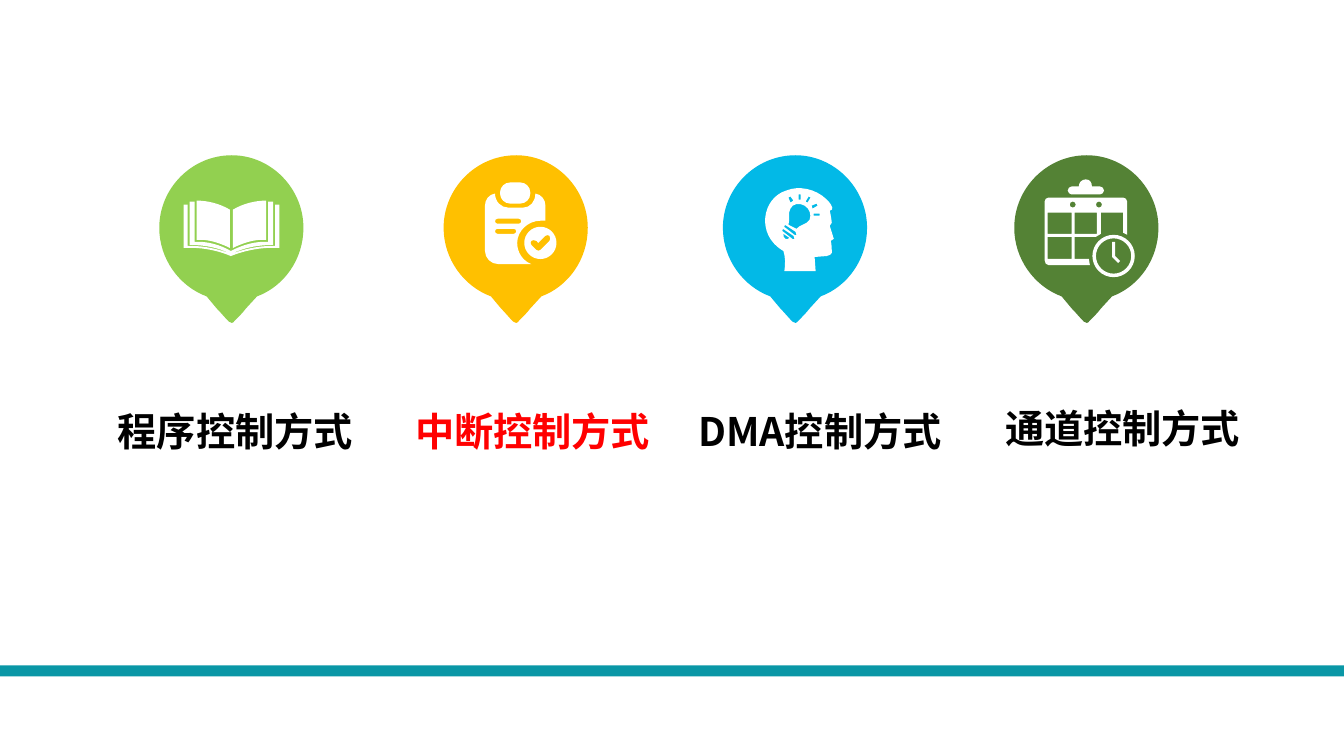
from lxml.etree import Element, SubElement
from pptx import Presentation
from pptx.dml.color import RGBColor
from pptx.enum.shapes import MSO_SHAPE
from pptx.enum.text import MSO_AUTO_SIZE
from pptx.oxml.ns import qn
from pptx.util import Inches, Pt

COLORS = {
    "green": "92D050", "amber": "FFC000", "blue": "02B9E7", "forest": "548235",
    "teal": "0A97A6", "white": "FFFFFF", "black": "000000", "red": "FF0000",
}
FONT = "Noto Sans CJK SC"
UNIT = Inches(0.01)
PIN_TOP = 1.54


def rounded(left, top, width, height, radius):
    right, bottom, bend = left + width, top + height, radius * 0.45
    return [
        (left + radius, top), (right - radius, top),
        (right - bend, top, right, top + bend, right, top + radius),
        (right, bottom - radius),
        (right, bottom - bend, right - bend, bottom, right - radius, bottom),
        (left + radius, bottom),
        (left + bend, bottom, left, bottom - bend, left, bottom - radius),
        (left, top + radius),
        (left, top + bend, left + bend, top, left + radius, top)]


def circle(x, y, radius):
    return rounded(x - radius, y - radius, 2 * radius, 2 * radius, radius)


def box(left, top, right, bottom):
    return [(left, top), (right, top), (right, bottom), (left, bottom)]


def moved(outline, right=0, down=0, flip=1):
    return [tuple(value + down if index % 2 else flip * value + right
                  for index, value in enumerate(segment)) for segment in outline]


# Outlines are in hundredths of an inch from the top left of the pin.
# Pairs are corners, sextuples are Bezier curves.
PIN = [[
    (72, 0), (111, 0, 143, 33, 143, 72), (143, 103, 124, 130, 97, 140), (86, 152),
    (83, 156, 79, 160, 75, 164), (73, 167, 71, 167, 69, 165),
    (65, 161, 61, 156, 57, 152), (47, 140), (20, 130, 0, 103, 0, 72),
    (0, 33, 32, 0, 72, 0)]]

LEFT_PAGE = [(70, 92), (70, 54), (60, 48, 48, 45, 37, 45), (37, 84),
             (48, 83, 60, 87, 70, 92)]
BOOK = [
    LEFT_PAGE,
    moved(LEFT_PAGE, right=143, flip=-1),
    [(115, 49), (115, 90), (111, 90), (98, 90, 84, 93, 71, 98),
     (59, 93, 45, 90, 32, 90), (28, 90), (28, 49), (24, 49), (24, 92),
     (40, 91, 57, 94, 71, 100), (86, 94, 103, 91, 119, 92), (119, 49)],
    [(71, 98), (85, 91, 100, 89, 113, 89), (113, 46), (108, 46), (108, 86),
     (96, 85, 82, 89, 71, 95), (61, 89, 47, 85, 35, 86), (35, 46), (30, 46),
     (30, 89), (43, 89, 58, 91, 71, 98)],
]
CLIPBOARD = [
    rounded(56, 27, 30, 21, 10),
    [(91, 38), (91, 46, 86, 52, 79, 52), (64, 52), (57, 52, 51, 46, 51, 38),
     (45, 39, 41, 44, 41, 50), (41, 95), (41, 102, 47, 108, 54, 108), (87, 108),
     (79, 105, 73, 97, 73, 87), (73, 75, 84, 65, 96, 65), (101, 65), (101, 50),
     (101, 44, 97, 39, 91, 38)],
    rounded(51, 63, 26, 5, 2.5),
    rounded(51, 73, 21, 5, 2.5),
    circle(96, 87, 16),
    [(105, 85), (96, 94), (95, 95, 93, 95, 92, 94), (87, 89),
     (86, 88, 86, 86, 87, 85), (88, 84, 90, 84, 92, 85), (94, 87), (101, 80),
     (102, 79, 104, 79, 105, 80), (106, 82, 106, 84, 105, 85)],
]
BULB_COLLAR = [
    (72, 76), (63, 70), (63, 69, 62, 69, 61, 70), (61, 71, 61, 72, 62, 72), (71, 79),
    (71, 80, 72, 79, 73, 79), (73, 78, 73, 77, 72, 76)]
HEAD = [
    [(61, 115), (62, 108, 62, 101, 60, 95), (32, 79, 39, 42, 63, 35),
     (75, 30, 92, 33, 103, 44), (111, 52, 108, 54, 108, 54), (106, 55),
     (107, 59, 108, 66, 108, 67), (106, 70), (110, 83), (107, 85),
     (108, 89, 108, 93, 108, 97), (108, 98, 105, 100, 103, 100), (91, 101), (92, 115)],
    [(81, 50), (76, 47, 69, 48, 67, 53), (64, 58, 67, 63, 65, 69), (73, 73),
     (76, 69, 83, 69, 86, 64), (88, 59, 86, 53, 81, 50)],
    BULB_COLLAR,
    moved(BULB_COLLAR, right=-2, down=4),
    [(60, 78), (60, 80, 60, 82, 62, 83), (63, 84, 65, 83, 66, 82)],
    [(84, 47), (87, 42), (85, 41), (82, 46)],
    [(89, 53), (94, 50), (93, 48), (88, 50)],
    box(75, 39, 77, 44),
    [(70, 45), (67, 41), (65, 42), (67, 47)],
    box(90, 58, 96, 60),
]
CALENDAR = [
    [(53, 35), (53, 37, 55, 39, 57, 39), (85, 39), (87, 39, 89, 37, 89, 35),
     (89, 33, 87, 31, 85, 31), (77, 31), (77, 27, 75, 24, 71, 24),
     (67, 24, 64, 27, 64, 31), (57, 31), (55, 31, 53, 33, 53, 35)],
    [(74, 103), (60, 103), (60, 81), (81, 81), (83, 80, 84, 79, 86, 78), (86, 57),
     (108, 57), (108, 77), (112, 79), (112, 46), (112, 44, 110, 42, 108, 42),
     (34, 42), (32, 42, 30, 44, 30, 46), (30, 104), (30, 107, 32, 109, 34, 109),
     (75, 109), (75, 107, 74, 105, 74, 103)],
    box(33, 57, 57, 78), box(33, 81, 57, 103), box(60, 57, 82, 78),
    circle(58, 49, 3), circle(84, 49, 3),
    circle(98.5, 100, 21), circle(98.5, 100, 17.5),
    [(97, 86), (97, 101), (103, 107), (105, 105), (100, 100), (100, 86)],
]

# label, label colour, label left, top and width, pin left, pin colour, icon
MODES = [
    ("程序控制方式", "black", 1.07, 3.99, 2.67, 1.58, "green", BOOK),
    ("中断控制方式", "red", 4.02, 3.99, 2.67, 4.40, "amber", CLIPBOARD),
    ("DMA控制方式", "black", 6.83, 3.99, 2.90, 7.17, "blue", HEAD),
    ("通道控制方式", "black", 9.87, 3.96, 2.67, 10.06, "forest", CALENDAR),
]


def paint(shape, color):
    shape.shadow.inherit = False
    shape.fill.solid()
    shape.fill.fore_color.rgb = RGBColor.from_string(COLORS[color])
    shape.line.fill.background()


def bend_lines(shape, segments):
    """Turn the straight lines that stand for sextuples into Bezier curves."""
    lines = list(shape._element.iter(qn("a:lnTo")))
    for line, segment in zip(lines, segments):
        if len(segment) == 2:
            continue
        curve = Element(qn("a:cubicBezTo"))
        for x, y in zip(segment[::2], segment[1::2]):
            SubElement(curve, qn("a:pt"), x=str(round(x - shape.left)),
                       y=str(round(y - shape.top)))
        line.getparent().replace(line, curve)


def add_outlines(slide, outlines, left, color):
    origin = Inches(left), Inches(PIN_TOP)
    placed = [[tuple(round(origin[index % 2] + value * UNIT)
                     for index, value in enumerate(segment)) for segment in outline]
              for outline in outlines]
    builder = slide.shapes.build_freeform(*placed[0][0], scale=1.0)
    for number, outline in enumerate(placed):
        if number:
            builder.move_to(*outline[0])
        builder.add_line_segments([segment[-2:] for segment in outline[1:]], close=True)
    shape = builder.convert_to_shape()
    bend_lines(shape, [segment for outline in placed for segment in outline[1:]])
    paint(shape, color)
    return shape


def add_text(slide, text, left, top, width, *, height=0.57, size=28, color="black", bold=True):
    text_box = slide.shapes.add_textbox(*map(Inches, (left, top, width, height)))
    frame = text_box.text_frame
    frame.word_wrap = False
    frame.auto_size = MSO_AUTO_SIZE.SHAPE_TO_FIT_TEXT
    run = frame.paragraphs[0].add_run()
    run.text = text
    run.font.size, run.font.bold, run.font.name = Pt(size), bold, FONT
    run.font.color.rgb = RGBColor.from_string(COLORS[color])
    SubElement(run.font._element, qn("a:ea")).set("typeface", FONT)


def main():
    presentation = Presentation()
    presentation.slide_width, presentation.slide_height = Inches(13.33), Inches(7.5)
    slide = presentation.slides.add_slide(presentation.slide_layouts[6])
    for *_, pin_left, pin_color, icon in MODES:
        parts = [add_outlines(slide, PIN, pin_left, pin_color),
                 add_outlines(slide, icon, pin_left, "white")]
        slide.shapes.add_group_shape(parts)
    footer_bar = slide.shapes.add_shape(
        MSO_SHAPE.RECTANGLE, 0, Inches(6.6), presentation.slide_width, Inches(0.11))
    paint(footer_bar, "teal")
    for label, label_color, left, top, width, *_ in MODES:
        add_text(slide, label, left, top, width, color=label_color)
    presentation.save("out.pptx")


if __name__ == "__main__":
    main()
